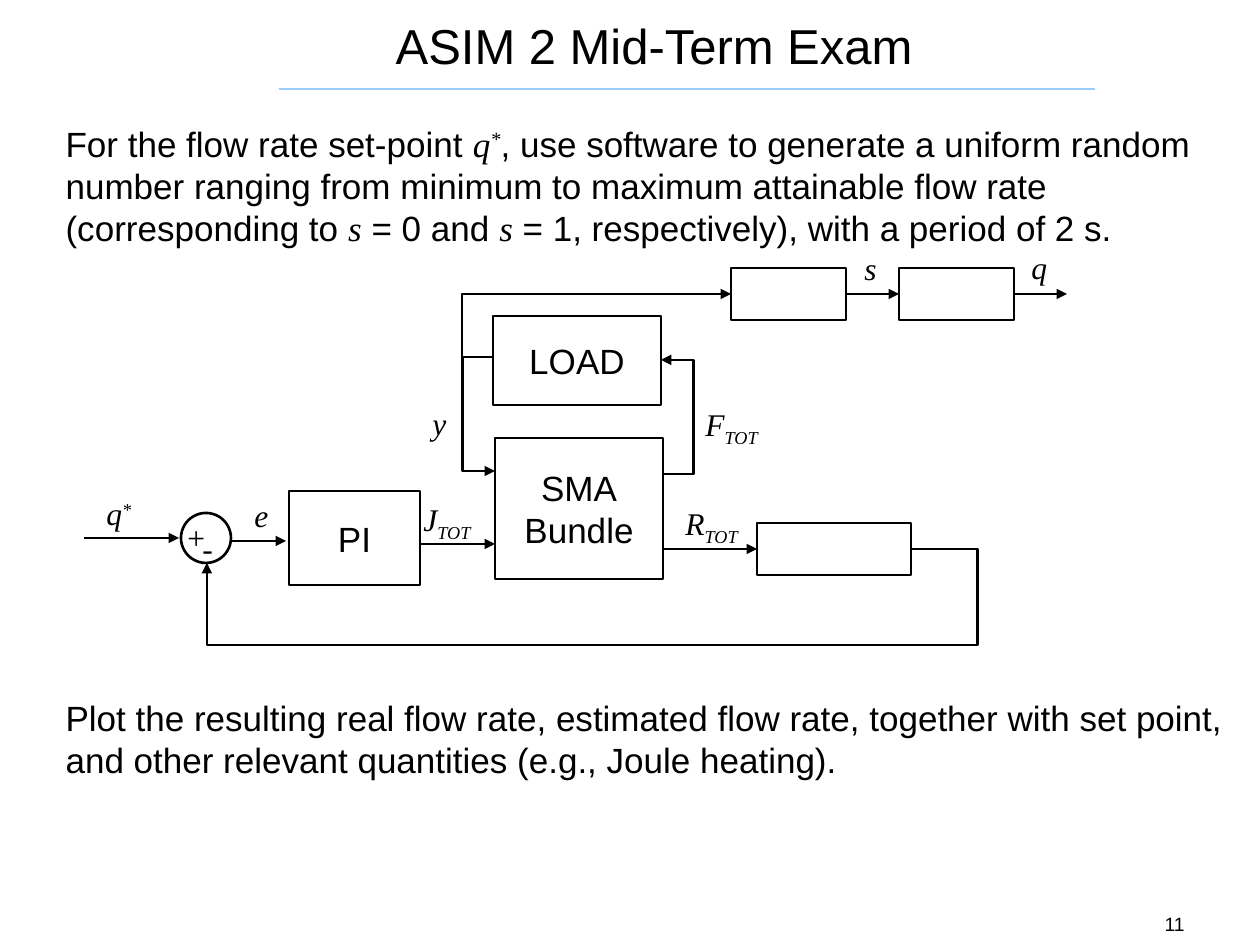
from lxml import etree
from pptx import Presentation
from pptx.dml.color import RGBColor
from pptx.enum.shapes import MSO_CONNECTOR, MSO_SHAPE
from pptx.enum.text import MSO_ANCHOR, MSO_AUTO_SIZE, PP_ALIGN
from pptx.oxml.ns import qn
from pptx.util import Emu, Pt

STRAIGHT, ELBOW = MSO_CONNECTOR.STRAIGHT, MSO_CONNECTOR.ELBOW
RECTANGLE, OVAL = MSO_SHAPE.RECTANGLE, MSO_SHAPE.OVAL
MIDDLE, TOP = MSO_ANCHOR.MIDDLE, MSO_ANCHOR.TOP
LEFT, CENTER, RIGHT = PP_ALIGN.LEFT, PP_ALIGN.CENTER, PP_ALIGN.RIGHT
NO_FIT, FIT_SHAPE = MSO_AUTO_SIZE.NONE, MSO_AUTO_SIZE.SHAPE_TO_FIT_TEXT

BLACK = RGBColor(0x00, 0x00, 0x00)
WHITE = RGBColor(0xFF, 0xFF, 0xFF)
SKY = RGBColor(0x99, 0xCC, 0xFF)

PX_PER_INCH = 126
SIDE_LEFT, SIDE_RIGHT = 1, 3

SANS = {"name": "Arial", "italic": False}
SYMBOL = {"name": "Times New Roman", "italic": True}


def px(length):
    """Turn pixels into EMU."""
    return Emu(round(length * 914400 / PX_PER_INCH))


def apply(target, values):
    """Set each attribute named in a dict."""
    for name, value in values.items():
        setattr(target, name, value)


def add_run(paragraph, text, size, face, baseline=0):
    """Append a black run, raised or lowered by a baseline percentage."""
    run = paragraph.add_run()
    run.text = text
    apply(run.font, {"size": Pt(size), "bold": False, **face})
    run.font.color.rgb = BLACK
    if baseline:
        run.font._element.set("baseline", str(baseline * 1000))


def place(shape, box):
    """Move a shape to a pixel box."""
    apply(shape, dict(zip(("left", "top", "width", "height"), map(px, box))))


def add_line(slide, start, end, color=BLACK, kind=STRAIGHT, arrow=True):
    """Draw a shadowless line, with an arrowhead at its end if wanted."""
    line = slide.shapes.add_connector(kind, *map(px, (*start, *end)))
    line.line.color.rgb = color
    line.line.width = Pt(1.5)
    if arrow:
        head = etree.SubElement(line.line._get_or_add_ln(), qn("a:tailEnd"))
        head.set("type", "triangle")
    etree.SubElement(line._element.spPr, qn("a:effectLst"))
    return line


def bend(line, start, end, turn_x, turn_y=None):
    """Route an elbow through a given x and, if given, a second turn at y."""
    ratios = [(turn_x - start[0]) / (end[0] - start[0])]
    if turn_y is not None:
        ratios.append((turn_y - start[1]) / (end[1] - start[1]))
    geometry = line._element.spPr.find(qn("a:prstGeom"))
    geometry.set("prst", f"bentConnector{len(ratios) + 2}")
    guides = geometry.find(qn("a:avLst"))
    if guides is None:
        guides = etree.SubElement(geometry, qn("a:avLst"))
    for number, ratio in enumerate(ratios, 1):
        guide = etree.SubElement(guides, qn("a:gd"))
        guide.set("name", f"adj{number}")
        guide.set("fmla", f"val {round(ratio * 100000)}")


def add_block(slide, box, kind=RECTANGLE, caption=""):
    """Draw a white block with an optional centred caption."""
    block = slide.shapes.add_shape(kind, *map(px, box))
    block.shadow.inherit = False
    block.fill.solid()
    block.fill.fore_color.rgb = WHITE
    block.line.color.rgb = BLACK
    block.line.width = Pt(1.5)
    if caption:
        apply(block.text_frame, {"vertical_anchor": MIDDLE, "word_wrap": True})
        paragraph = block.text_frame.paragraphs[0]
        paragraph.alignment = CENTER
        for index, word in enumerate(caption.split("\n")):
            if index:
                paragraph.add_line_break()
            add_run(paragraph, word, 20, SANS)
    return block


def add_signal(slide, box, letter, mark="", baseline=0):
    """Write a signal name with an optional super- or subscript."""
    frame = slide.shapes.add_textbox(*map(px, box)).text_frame
    apply(frame, {"word_wrap": False, "auto_size": FIT_SHAPE})
    add_run(frame.paragraphs[0], letter, 18, SYMBOL)
    if mark:
        add_run(frame.paragraphs[0], mark, 18, SYMBOL, baseline)


def build_heading(slide, box):
    """Fill the title and underline it."""
    left, top, width, height = box
    title = slide.shapes.title
    place(title, box)
    apply(title.text_frame, {"vertical_anchor": MIDDLE, "auto_size": NO_FIT})
    paragraph = title.text_frame.paragraphs[0]
    paragraph.alignment = CENTER
    add_run(paragraph, "ASIM 2 Mid-Term Exam", 28, SANS)
    rule_y = top + height
    add_line(slide, (left - 10, rule_y), (left + 806, rule_y), SKY, arrow=False)


def build_task(slide, box):
    """Write the two task paragraphs, leaving room for the diagram."""
    body = slide.placeholders[1]
    place(body, box)
    frame = body.text_frame
    apply(frame, {"vertical_anchor": TOP, "auto_size": NO_FIT, "word_wrap": True})
    setpoint, plot = frame.paragraphs[0], frame.add_paragraph()
    for paragraph, gap in ((setpoint, 0), (plot, 256)):
        properties = paragraph._p.get_or_add_pPr()
        properties.set("marL", "0")
        properties.set("indent", "0")
        etree.SubElement(properties, qn("a:buNone"))
        apply(paragraph, {"alignment": LEFT, "space_before": Pt(gap)})
    add_run(setpoint, "For the flow rate set-point ", 20, SANS)
    add_run(setpoint, "q", 20, SYMBOL)
    add_run(setpoint, "*", 20, SYMBOL, 30)
    add_run(setpoint, ", use software to generate a uniform random number ranging "
            "from minimum to maximum attainable flow rate ", 20, SANS)
    setpoint.add_line_break()
    for text, face in (("(corresponding to ", SANS), ("s", SYMBOL), (" = 0 and ", SANS),
                       ("s", SYMBOL), (" = 1, respectively), with a period of 2 s.", SANS)):
        add_run(setpoint, text, 20, face)
    add_run(plot, "Plot the resulting real flow rate, estimated flow rate, together with "
            "set point, and other relevant quantities (e.g., Joule heating).", 20, SANS)


def build_control_loop(slide, origin):
    """Draw the control loop relative to its top left corner."""
    def at(x, y, *size):
        return origin[0] + x, origin[1] + y, *size

    add_block(slide, at(97, 273, 50, 50), OVAL)
    add_block(slide, at(205, 251, 131, 94), caption="PI")
    add_block(slide, at(411, 198, 168, 141), caption="SMA\nBundle")
    add_block(slide, at(409, 76, 168, 89), caption="LOAD")
    opening = add_block(slide, at(647, 28, 115, 52))
    flow = add_block(slide, at(815, 28, 115, 52))
    estimator = add_block(slide, at(673, 283, 154, 52))

    for x, y, length, source, target in (
            (0, 298, 95, None, None), (147, 301, 55, None, None),
            (336, 304, 75, None, None), (579, 309, 94, None, estimator),
            (762, 54, 53, opening, flow), (930, 54, 53, flow, None)):
        arrow = add_line(slide, at(x, y), at(x + length, y))
        if source:
            arrow.begin_connect(source, SIDE_RIGHT)
        if target:
            arrow.end_connect(target, SIDE_LEFT)

    for start, end, turn in (
            ((827, 309), (123, 323), (894, 405)), ((579, 234), (577, 120), (610,)),
            ((409, 117), (411, 231), (378,)), ((404, 117), (647, 54), (378,))):
        bend(add_line(slide, at(*start), at(*end), kind=ELBOW), start, end, *turn)

    for x, y, width, *signal in (
            (10, 248, 52, "q", "*", 30), (158, 250, 39, "e"), (89, 272, 47, "+"),
            (106, 283, 37, "-"), (336, 158, 39, "y"), (935, 2, 42, "q"),
            (768, 3, 38, "s"), (327, 254, 78, "J", "TOT", -25),
            (589, 258, 83, "R", "TOT", -25), (609, 159, 83, "F", "TOT", -25)):
        add_signal(slide, at(x, y, width, 50), *signal)


def build_page_number(slide, box):
    """Write the page number at the right of its box."""
    frame = slide.shapes.add_textbox(*map(px, box)).text_frame
    frame.word_wrap = True
    frame.paragraphs[0].alignment = RIGHT
    add_run(frame.paragraphs[0], "11", 11, SANS)


def main():
    """Build and save the slide."""
    deck = Presentation()
    apply(deck, {"slide_width": px(1260), "slide_height": px(945)})
    slide = deck.slides.add_slide(deck.slide_layouts[1])
    build_heading(slide, (289, 0, 730, 89))
    build_task(slide, (53, 116, 1187, 791))
    build_control_loop(slide, (84, 240))
    build_page_number(slide, (903, 906, 294, 39))
    deck.save("out.pptx")


if __name__ == "__main__":
    main()
